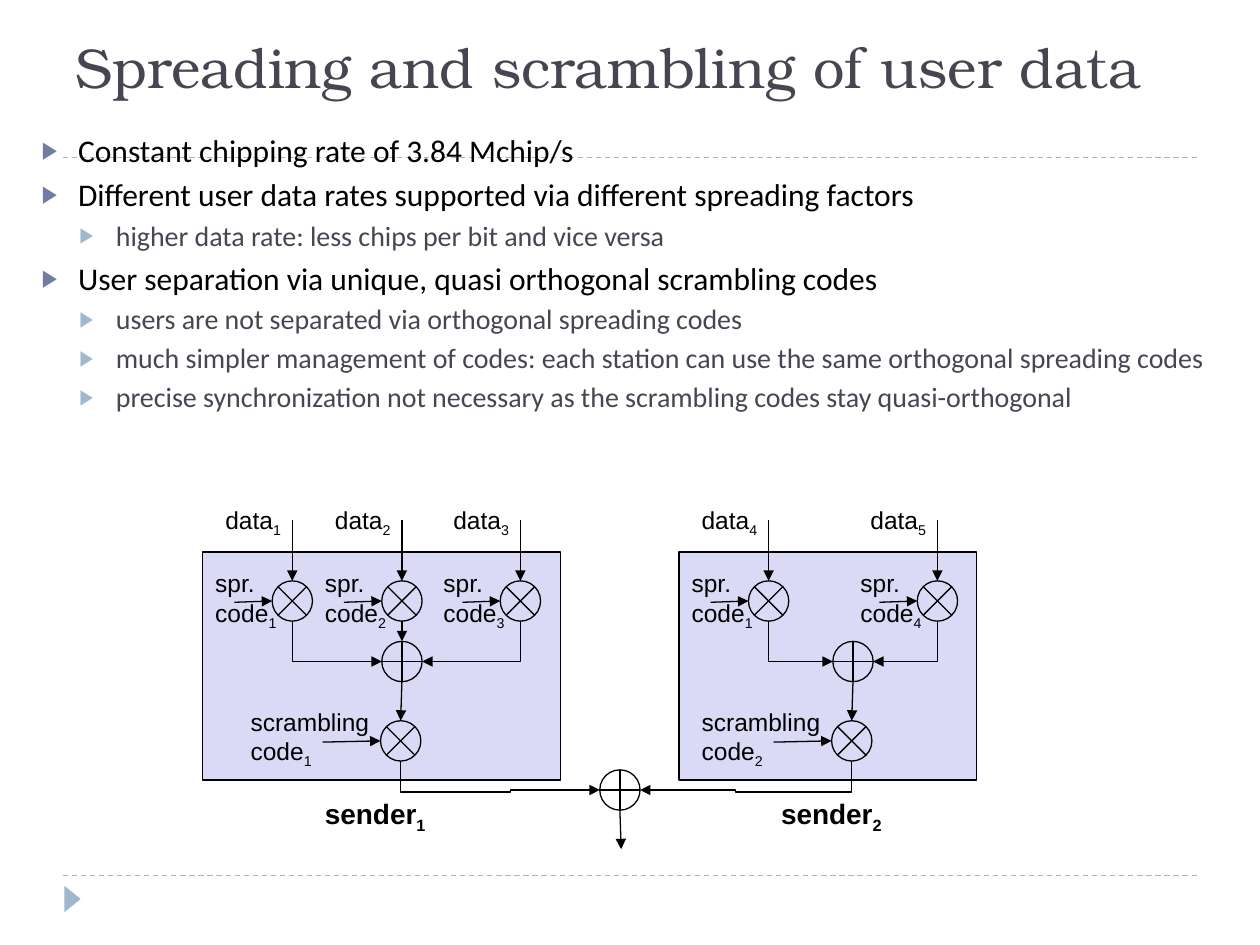
from lxml import etree
from pptx import Presentation
from pptx.dml.color import RGBColor
from pptx.enum.dml import MSO_LINE
from pptx.enum.shapes import MSO_CONNECTOR, MSO_SHAPE
from pptx.enum.text import MSO_ANCHOR, MSO_AUTO_SIZE, PP_ALIGN
from pptx.oxml.ns import qn
from pptx.util import Inches, Pt

BLACK = RGBColor(0x00, 0x00, 0x00)
SLATE = RGBColor(0x46, 0x46, 0x53)
INDIGO = RGBColor(0x72, 0x7C, 0xA3)
MIST = RGBColor(0x9F, 0xB8, 0xCD)
LAVENDER = RGBColor(0xDA, 0xDA, 0xF6)
STRAIGHT = MSO_CONNECTOR.STRAIGHT
MIXER = MSO_SHAPE.FLOWCHART_SUMMING_JUNCTION
ADDER = MSO_SHAPE.FLOWCHART_OR
BOX = MSO_SHAPE.RECTANGLE

# Rows of the diagram (inches)
DATA_Y, BOX_Y, SPREAD_Y, SUM_Y, SCRAMBLE_Y, OUT_Y = 4.13, 4.38, 4.77, 5.25, 5.88, 6.27
R = 0.16          # radius of every gate
OUT_X = 4.92      # column of the final adder


def write(p, text, size=14, font="Arial", color=BLACK, bold=False):
    """Fill a paragraph; what follows an underscore becomes a subscript."""
    base, _, sub = text.partition("_")
    for part, lowered in ((base, False), (sub, True)):
        if not part:
            continue
        r = p.add_run()
        r.text = part
        r.font.size, r.font.name, r.font.bold = Pt(size), font, bold
        r.font.color.rgb = color
        if lowered:
            r.font._element.set("baseline", "-25000")


def link(start, end, bend=None, adjust=(), color=BLACK, arrow=True):
    """Draw a line; a bend preset leaves downwards and enters sideways."""
    (x1, y1), (x2, y2) = start, end
    c = slide.shapes.add_connector(STRAIGHT, *map(Inches, (x1, y1, x2, y2)))
    c.line.color.rgb = color
    c.line.width = Pt(0.75)
    sp_pr = c._element.spPr
    if bend:
        w, h = y2 - y1, abs(x2 - x1)
        c.left, c.top = Inches((x1 + x2 - w) / 2), Inches((y1 + y2 - h) / 2)
        c.width, c.height = Inches(w), Inches(h)
        rightward = x2 > x1
        xfrm = sp_pr.find(qn("a:xfrm"))
        xfrm.set("rot", str((270 if rightward else 90) * 60000))
        xfrm.set("flipH", str(int(rightward)))
        geom = sp_pr.find(qn("a:prstGeom"))
        geom.set("prst", bend)
        for i, value in enumerate(adjust, 1):
            etree.SubElement(geom.find(qn("a:avLst")), qn("a:gd"),
                             name=f"adj{i}", fmla=f"val {round(value * 100000)}")
    if arrow:
        etree.SubElement(c.line._get_or_add_ln(), qn("a:tailEnd"), type="triangle")
    etree.SubElement(sp_pr, qn("a:effectLst"))
    return c


prs = Presentation()
prs.slide_width, prs.slide_height = Inches(10), Inches(7.5)
slide = prs.slides.add_slide(prs.slide_layouts[1])

# Dashed rules and corner mark
for y in (1.25, 6.95):
    rule = link((0.5, y), (9.5, y), color=MIST, arrow=False)
    rule.line.dash_style = MSO_LINE.DASH
    slide.shapes._spTree.insert(2, rule._element)
mark = slide.shapes.add_shape(MSO_SHAPE.ISOSCELES_TRIANGLE, *map(Inches, (0.47, 7.07, 0.21, 0.13)))
mark.rotation = 90
mark.shadow.inherit = False
mark.fill.solid()
mark.fill.fore_color.rgb = MIST
mark.line.fill.background()

# Title and bullet list
title, body = slide.shapes.title, slide.placeholders[1]
for sp, box in ((title, (0.5, 0.17, 9, 0.67)), (body, (0.23, 1.02, 9.61, 3.39))):
    sp.left, sp.top, sp.width, sp.height = map(Inches, box)
    sp.text_frame.auto_size = MSO_AUTO_SIZE.NONE
    sp.text_frame.word_wrap = True
title.text_frame.vertical_anchor = MSO_ANCHOR.BOTTOM
p = title.text_frame.paragraphs[0]
p.alignment = PP_ALIGN.LEFT
write(p, "Spreading and scrambling of user data", size=32, font="TeX Gyre Bonum", color=SLATE)

LEVELS = [dict(size=18, color=BLACK, bullet=INDIGO, before=6),
          dict(size=16, color=SLATE, bullet=MIST, before=5)]
POINTS = [
    (0, "Constant chipping rate of 3.84 Mchip/s"),
    (0, "Different user data rates supported via different spreading factors"),
    (1, "higher data rate: less chips per bit and vice versa"),
    (0, "User separation via unique, quasi orthogonal scrambling codes"),
    (1, "users are not separated via orthogonal spreading codes"),
    (1, "much simpler management of codes: each station can use the same orthogonal spreading codes"),
    (1, "precise synchronization not necessary as the scrambling codes stay quasi-orthogonal"),
]
tf = body.text_frame
for i, (level, text) in enumerate(POINTS):
    style = LEVELS[level]
    p = tf.add_paragraph() if i else tf.paragraphs[0]
    p.level = level
    p_pr = p._p.get_or_add_pPr()
    p_pr.set("marL", str(Inches(0.29 + 0.3 * level)))
    p_pr.set("indent", str(Inches(-0.29)))
    bullet_color = etree.SubElement(p_pr, qn("a:buClr"))
    etree.SubElement(bullet_color, qn("a:srgbClr"), val=str(style["bullet"]))
    etree.SubElement(p_pr, qn("a:buSzPct"), val="76000")
    etree.SubElement(p_pr, qn("a:buChar"), char="▶")
    p.line_spacing = 0.9
    p.space_before = Pt(style["before"] if i else 0)
    write(p, text, size=style["size"], font="Calibri", color=style["color"])

# Diagram: each branch is (column, data number, spreading code number)
SENDERS = [
    dict(number=1, left=1.61, width=2.84, sum_x=3.19, name_x=2.48,
         branches=[(2.32, 1, 1), (3.19, 2, 2), (4.13, 3, 3)]),
    dict(number=2, left=5.39, width=2.36, sum_x=6.77, name_x=6.1,
         branches=[(6.1, 4, 1), (7.44, 5, 4)]),
]
shapes = [(ADDER, OUT_X - R, OUT_Y - R, 2 * R, 2 * R, None)]
links = [((OUT_X, OUT_Y + R), (OUT_X + 0.01, 6.74))]
labels = []
for s in SENDERS:
    n, sum_x = s["number"], s["sum_x"]
    mix_x = sum_x - 0.01
    shapes.append((BOX, s["left"], BOX_Y, s["width"], 1.81, LAVENDER))
    for x, data, code in s["branches"]:
        shapes.append((MIXER, x - R, SPREAD_Y - R, 2 * R, 2 * R, LAVENDER))
        links.append(((x, DATA_Y), (x, SPREAD_Y - R)))
        links.append(((x - 0.46, SPREAD_Y + 0.01), (x - R, SPREAD_Y)))
        if x == sum_x:
            links.append(((x, SPREAD_Y + R), (x, SUM_Y - R)))
        else:
            side = -R if x < sum_x else R
            links.append(((x, SPREAD_Y + R), (sum_x + side, SUM_Y), "bentConnector2"))
        labels.append((x - 0.63, 3.96, 0.66, 0.37, [f"data_{data}"], {}))
        labels.append((x - 0.71, 4.46, 0.75, 0.6, ["spr.", f"code_{code}"], {}))
    shapes.append((ADDER, sum_x - R, SUM_Y - R, 2 * R, 2 * R, None))
    shapes.append((MIXER, mix_x - R, SCRAMBLE_Y - R, 2 * R, 2 * R, None))
    links.append(((sum_x, SUM_Y + R), (mix_x, SCRAMBLE_Y - R)))
    links.append(((mix_x - 0.62, SCRAMBLE_Y + 0.01), (mix_x - R, SCRAMBLE_Y)))
    side = -R if mix_x < OUT_X else R
    links.append(((mix_x, SCRAMBLE_Y + R), (OUT_X + side, OUT_Y), "bentConnector4", (1.07, 0.55)))
    labels.append((sum_x - 1.3, 5.56, 1.16, 0.6, ["scrambling", f"code_{n}"], {}))
    labels.append((s["name_x"], OUT_Y, 1.02, 0.41, [f"sender_{n}"], dict(size=16, bold=True)))

for kind, x, y, w, h, fill in shapes:
    sp = slide.shapes.add_shape(kind, *map(Inches, (x, y, w, h)))
    sp.shadow.inherit = False
    sp.line.color.rgb = BLACK
    sp.line.width = Pt(0.75)
    if fill:
        sp.fill.solid()
        sp.fill.fore_color.rgb = fill
    else:
        sp.fill.background()

for args in links:
    link(*args)

for x, y, w, h, lines, style in labels:
    tf = slide.shapes.add_textbox(*map(Inches, (x, y, w, h))).text_frame
    tf.word_wrap = False
    tf.auto_size = MSO_AUTO_SIZE.SHAPE_TO_FIT_TEXT
    for i, text in enumerate(lines):
        write(tf.add_paragraph() if i else tf.paragraphs[0], text, **style)

prs.save("out.pptx")
